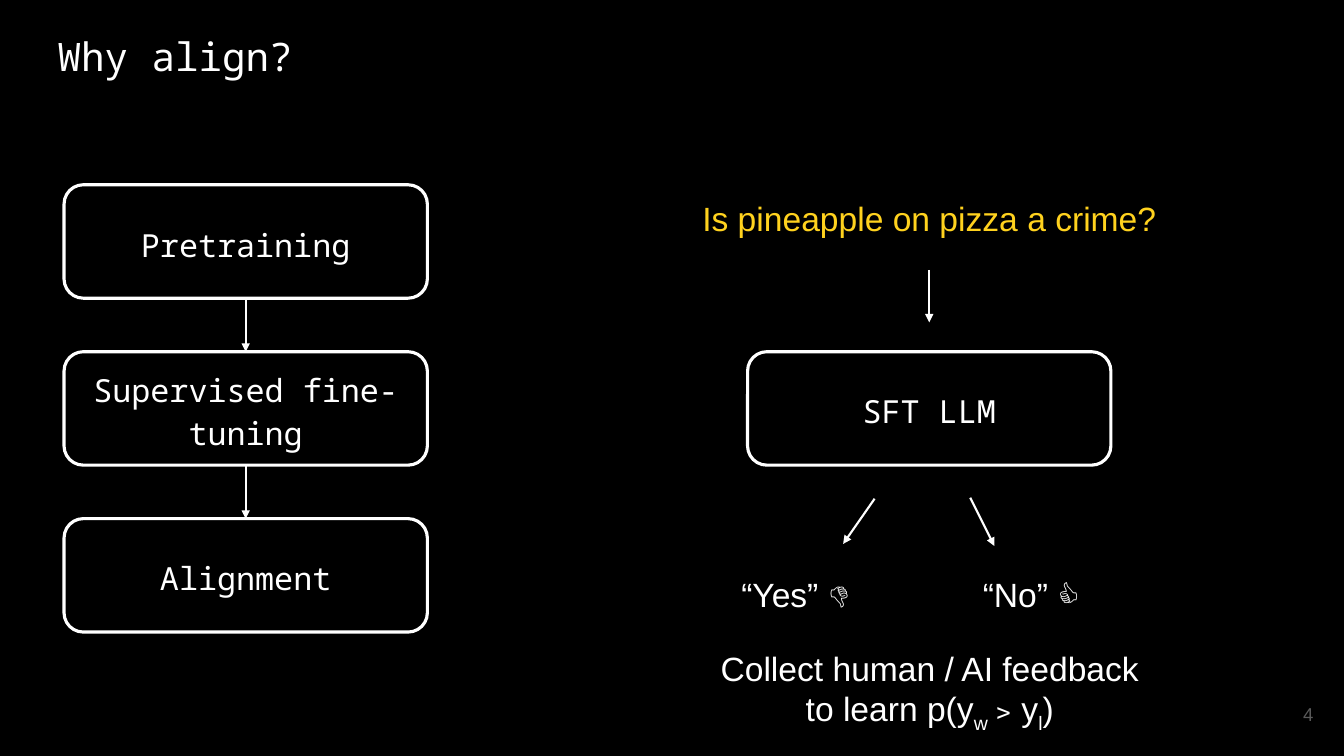
import pptx
import pptx.dml.color
import pptx.enum.shapes
import pptx.enum.text
import pptx.oxml
import pptx.oxml.ns
import pptx.util
from lxml import etree

PX = 9525  # EMU per px, 96 px to the inch
BLACK = pptx.dml.color.RGBColor(0x00, 0x00, 0x00)
WHITE = pptx.dml.color.RGBColor(0xFF, 0xFF, 0xFF)
YELLOW = pptx.dml.color.RGBColor(0xFF, 0xD2, 0x1E)
GREY = pptx.dml.color.RGBColor(0x59, 0x59, 0x59)
MONO, SANS = "Noto Sans Mono", "Arial"
LEFT, CENTER, RIGHT = (pptx.enum.text.PP_ALIGN.LEFT, pptx.enum.text.PP_ALIGN.CENTER,
                       pptx.enum.text.PP_ALIGN.RIGHT)
TOP, MIDDLE = pptx.enum.text.MSO_ANCHOR.TOP, pptx.enum.text.MSO_ANCHOR.MIDDLE
BOX_WIDTH, BOX_HEIGHT, BOX_STEP = 346, 108, 159
BOX_TOP, STAGE_LEFT, MODEL_LEFT = 176, 61, 712

presentation = pptx.Presentation()
presentation.slide_width = 1280 * PX
presentation.slide_height = 720 * PX
slide = presentation.slides.add_slide(presentation.slide_layouts[6])
slide.background.fill.solid()
slide.background.fill.fore_color.rgb = BLACK


def write(shape, lines, size, font, color, align, anchor):
    """Fill a shape with paragraphs; a piece starting with _ is a subscript."""
    frame = shape.text_frame
    frame.word_wrap = True
    frame.vertical_anchor = anchor
    frame.margin_left = frame.margin_right = frame.margin_top = frame.margin_bottom = 12 * PX
    for index, pieces in enumerate(lines):
        paragraph = frame.paragraphs[0] if index == 0 else frame.add_paragraph()
        paragraph.alignment = align
        paragraph.font.size = pptx.util.Pt(size)
        paragraph.font.name = font
        paragraph.font.color.rgb = color
        for piece in pieces:
            run = paragraph.add_run()
            run.text = piece.removeprefix("_")
            if piece.startswith("_"):
                run.font._element.set("baseline", "-25000")


def add_arrow(x1, y1, x2, y2):
    arrow = slide.shapes.add_connector(
        pptx.enum.shapes.MSO_CONNECTOR.STRAIGHT, x1 * PX, y1 * PX, x2 * PX, y2 * PX)
    arrow.line.color.rgb = WHITE
    arrow.line.width = pptx.util.Pt(1.5)
    line = arrow.line._get_or_add_ln()
    etree.SubElement(line, pptx.oxml.ns.qn("a:tailEnd"), type="triangle")
    etree.SubElement(arrow._element.spPr, pptx.oxml.ns.qn("a:effectLst"))


# Arrows: between the stages, into the model, out to the two answers
for stage in range(2):
    stage_bottom = BOX_TOP + stage * BOX_STEP + BOX_HEIGHT
    add_arrow(234, stage_bottom, 234, BOX_TOP + (stage + 1) * BOX_STEP)
add_arrow(885, 257, 885, 307)
add_arrow(833, 475, 803, 518)
add_arrow(924, 474, 947, 520)

# Training stages on the left, the model on the right
boxes = [(STAGE_LEFT, 0, "Pretraining"), (STAGE_LEFT, 1, "Supervised fine-tuning"),
         (STAGE_LEFT, 2, "Alignment"), (MODEL_LEFT, 1, "SFT LLM")]
for left, row, label in boxes:
    box = slide.shapes.add_shape(
        pptx.enum.shapes.MSO_SHAPE.ROUNDED_RECTANGLE, left * PX,
        (BOX_TOP + row * BOX_STEP) * PX, BOX_WIDTH * PX, BOX_HEIGHT * PX)
    box.adjustments[0] = 0.17
    box.shadow.inherit = False
    box.fill.background()
    box.line.color.rgb = WHITE
    box.line.width = pptx.util.Pt(2.25)
    write(box, [[label]], 22.7, MONO, WHITE, CENTER, MIDDLE)
    box.text_frame.paragraphs[0].line_spacing = 1.15

# Title, question, answers, conclusion and page number
feedback = [["Collect human / AI feedback"], ["to learn p(y", "_w", "﹥y", "_l", ")"]]
texts = [
    (43, 19, 1192, 81, [["Why align?"]], 28, MONO, WHITE, LEFT, TOP),
    (651, 176, 468, 64, [["Is pineapple on pizza a crime?"]], 24, SANS, YELLOW, CENTER, TOP),
    (694, 535, 157, 64, [["“Yes” 👎"]], 24, SANS, WHITE, LEFT, TOP),
    (924, 535, 140, 64, [["“No” 👍"]], 24, SANS, WHITE, LEFT, TOP),
    (656, 605, 459, 104, feedback, 24, SANS, WHITE, CENTER, TOP),
    (1186, 653, 77, 55, [["4"]], 13.3, SANS, GREY, RIGHT, MIDDLE),
]
for left, top, width, height, *content in texts:
    text_box = slide.shapes.add_textbox(left * PX, top * PX, width * PX, height * PX)
    write(text_box, *content)

presentation.save("out.pptx")
